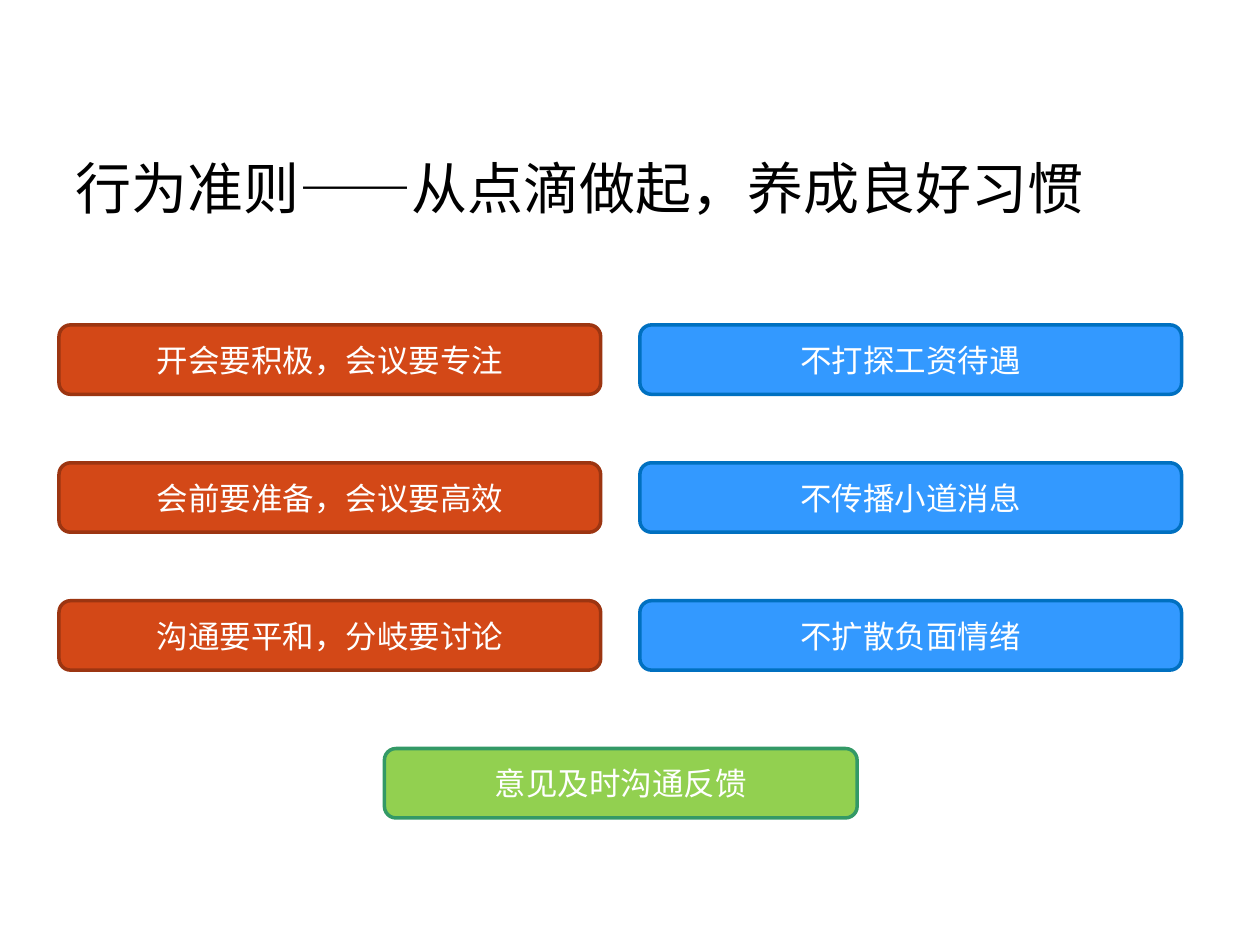
"""Build a slide of workplace conduct rules in two columns with a closing rule."""
from pptx import Presentation
from pptx import util as u
from pptx.dml.color import RGBColor
from pptx.enum import shapes, text

COLORS = {
    "title": "000000", "label": "FFFFFF",
    "do_fill": "D34817", "do_line": "9C3511",
    "avoid_fill": "3399FF", "avoid_line": "0070C0",
    "feedback_fill": "92D050", "feedback_line": "339966",
}
TITLE_FORMAT = {"name": "Roboto", "size": u.Pt(32)}
LABEL_FORMAT = {"name": "Calibri", "size": u.Pt(18)}
COLUMNS = [
    ("do", 1.19, ["开会要积极，会议要专注", "会前要准备，会议要高效", "沟通要平和，分岐要讨论"]),
    ("avoid", 12.9, ["不打探工资待遇", "不传播小道消息", "不扩散负面情绪"]),
]
FIRST_TOP, ROW_STEP = 6.55, 2.78
RULE_WIDTH, RULE_HEIGHT = 10.92, 1.4


def color(name):
    return RGBColor.from_string(COLORS[name])


def write_text(shape, wording, font_format, color_name, alignment):
    frame = shape.text_frame
    frame.word_wrap = True
    frame.vertical_anchor = text.MSO_ANCHOR.MIDDLE
    paragraph = frame.paragraphs[0]
    paragraph.alignment = alignment
    run = paragraph.add_run()
    run.text = wording
    for attribute, value in font_format.items():
        setattr(run.font, attribute, value)
    run.font.color.rgb = color(color_name)


def add_title(slide, wording):
    shape = slide.shapes.add_textbox(u.Cm(1.27), u.Cm(2.18), u.Cm(22.86), u.Cm(3.18))
    write_text(shape, wording, TITLE_FORMAT, "title", text.PP_ALIGN.LEFT)


def add_rule(slide, wording, kind, left, top, width=RULE_WIDTH):
    shape = slide.shapes.add_shape(
        shapes.MSO_SHAPE.ROUNDED_RECTANGLE,
        u.Cm(left), u.Cm(top), u.Cm(width), u.Cm(RULE_HEIGHT))
    shape.shadow.inherit = False
    shape.fill.solid()
    shape.fill.fore_color.rgb = color(f"{kind}_fill")
    shape.line.color.rgb = color(f"{kind}_line")
    shape.line.width = u.Pt(2)
    write_text(shape, wording, LABEL_FORMAT, "label", text.PP_ALIGN.CENTER)


def main():
    presentation = Presentation()
    presentation.slide_width, presentation.slide_height = u.Cm(25.4), u.Cm(19.05)
    slide = presentation.slides.add_slide(presentation.slide_layouts[6])
    add_title(slide, "行为准则——从点滴做起，养成良好习惯")
    for kind, left, rules in COLUMNS:
        for row, wording in enumerate(rules):
            add_rule(slide, wording, kind, left, FIRST_TOP + row * ROW_STEP)
    add_rule(slide, "意见及时沟通反馈", "feedback", 7.75, 15.09, 9.53)
    presentation.save("out.pptx")


if __name__ == "__main__":
    main()
